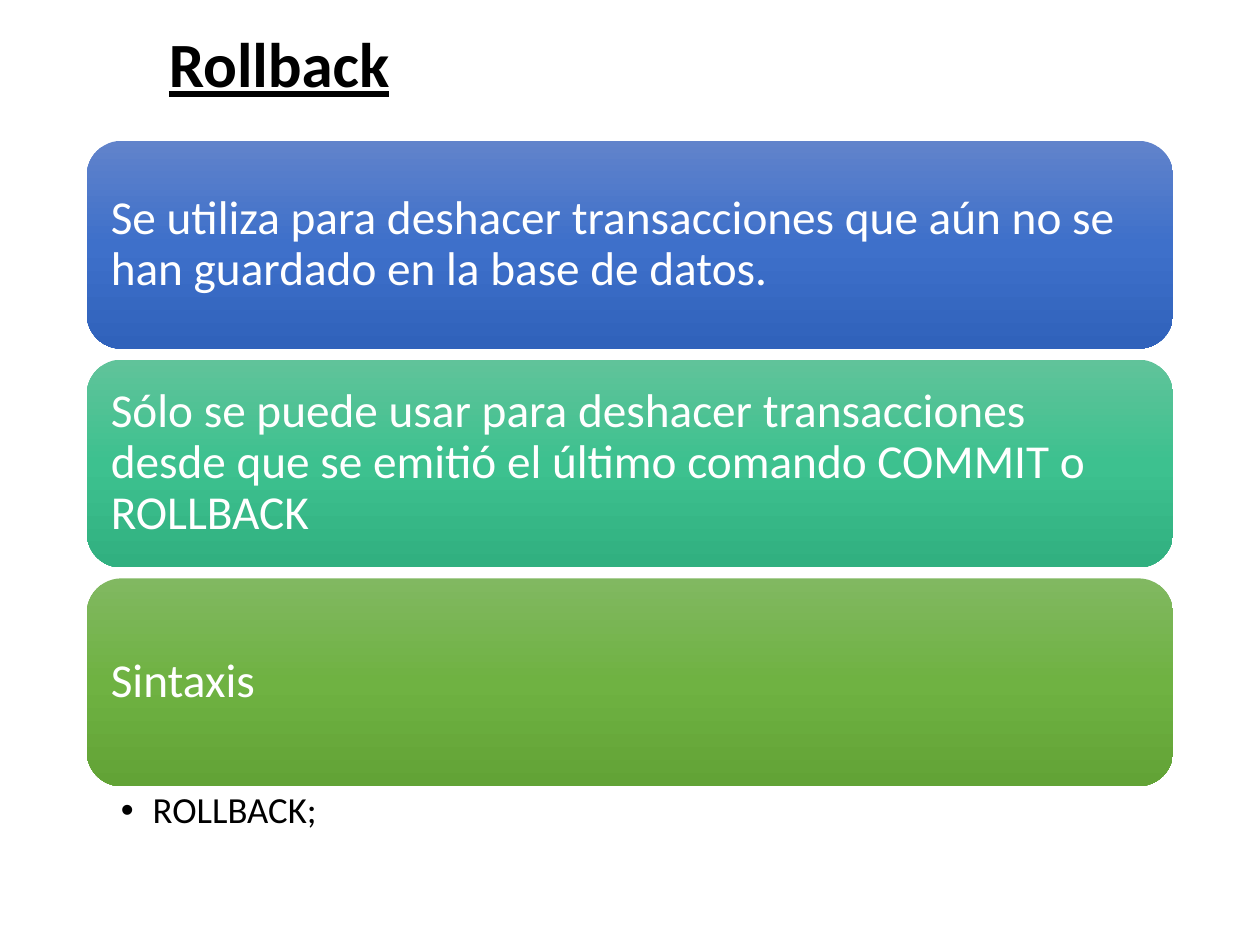
"""Build the Rollback slide with three gradient panels and a syntax bullet."""
from copy import deepcopy
from dataclasses import dataclass

from lxml import etree
from pptx import Presentation
from pptx.dml.color import RGBColor
from pptx.enum.shapes import MSO_SHAPE
from pptx.enum.text import MSO_ANCHOR, MSO_AUTO_SIZE, PP_ALIGN
from pptx.oxml.ns import qn
from pptx.util import Cm, Pt

ROUNDED = MSO_SHAPE.ROUNDED_RECTANGLE
MIDDLE = MSO_ANCHOR.MIDDLE
LEFT = PP_ALIGN.LEFT
NO_AUTOFIT = MSO_AUTO_SIZE.NONE

FONT = "Calibri"
BLACK = RGBColor(0x00, 0x00, 0x00)
WHITE = RGBColor(0xFF, 0xFF, 0xFF)
BLUES = (RGBColor(0x61, 0x83, 0xCB), RGBColor(0x3E, 0x70, 0xCA), RGBColor(0x30, 0x62, 0xBB))
TEALS = (RGBColor(0x60, 0xC3, 0x9A), RGBColor(0x3D, 0xC1, 0x8F), RGBColor(0x31, 0xB0, 0x80))
GREENS = (RGBColor(0x81, 0xB8, 0x61), RGBColor(0x6F, 0xB2, 0x42), RGBColor(0x62, 0xA3, 0x36))

PANEL_LEFT, PANEL_TOP = Cm(1.75), Cm(2.84)
PANEL_WIDTH, PANEL_HEIGHT = Cm(21.9), Cm(4.19)
PANEL_STEP = Cm(4.41)


@dataclass(frozen=True)
class Panel:
    text: str
    colors: tuple[RGBColor, RGBColor, RGBColor]


PANELS = (
    Panel("Se utiliza para deshacer transacciones que aún no se han guardado "
          "en la base de datos.", BLUES),
    Panel("Sólo se puede usar para deshacer transacciones desde que se emitió "
          "el último comando COMMIT o ROLLBACK", TEALS),
    Panel("Sintaxis", GREENS),
)


def write(tf, text: str, size: int, color: RGBColor):
    """Set one left-aligned paragraph and return it."""
    tf.word_wrap = True
    tf.text = text
    p = tf.paragraphs[0]
    p.alignment = LEFT
    p.line_spacing = 0.9
    font = p.runs[0].font
    font.name, font.size, font.color.rgb = FONT, Pt(size), color
    return p


def set_margins(tf, left: float, top: float, right: float, bottom: float) -> None:
    """Set the text insets in centimetres."""
    tf.margin_left, tf.margin_top = Cm(left), Cm(top)
    tf.margin_right, tf.margin_bottom = Cm(right), Cm(bottom)


def add_title(slide, text: str) -> None:
    """Place and format the title placeholder."""
    sp = slide.shapes.title
    sp.left, sp.top, sp.width, sp.height = Cm(3.15), Cm(0.58), Cm(19.81), Cm(1.55)
    tf = sp.text_frame
    tf.auto_size = NO_AUTOFIT
    tf.vertical_anchor = MIDDLE
    font = write(tf, text, 36, BLACK).runs[0].font
    font.bold = font.underline = True


def fill_gradient(sp, colors: tuple[RGBColor, ...]) -> None:
    """Fill a shape from top to bottom with evenly spaced colours."""
    sp.fill.gradient()
    sp.fill.gradient_angle = 270
    stops = sp.element.spPr.find(".//" + qn("a:gsLst"))
    while len(stops) < len(colors):
        stops.append(deepcopy(stops[0]))
    for i, (stop, color) in enumerate(zip(sp.fill.gradient_stops, colors)):
        stop.position = i / (len(colors) - 1)
        stop.color.rgb = color


def add_panel(slide, panel: Panel, row: int) -> None:
    """Draw one rounded panel in its row."""
    top = PANEL_TOP + row * PANEL_STEP
    sp = slide.shapes.add_shape(ROUNDED, PANEL_LEFT, top, PANEL_WIDTH, PANEL_HEIGHT)
    sp.shadow.inherit = False
    sp.line.fill.background()
    fill_gradient(sp, panel.colors)
    tf = sp.text_frame
    tf.vertical_anchor = MIDDLE
    set_margins(tf, 0.28, 0.28, 0.28, 0.28)
    write(tf, panel.text, 27, WHITE)


def add_bullet(slide, text: str) -> None:
    """Draw the bulleted line under the panels."""
    sp = slide.shapes.add_textbox(PANEL_LEFT, Cm(15.87), PANEL_WIDTH, Cm(1.24))
    tf = sp.text_frame
    set_margins(tf, 0.69, 0.1, 0.53, 0.1)
    p = write(tf, text, 21, BLACK)
    p.level = 1
    pPr = p._p.get_or_add_pPr()
    pPr.set("marL", str(Cm(0.64)))
    pPr.set("indent", str(-Cm(0.64)))
    etree.SubElement(pPr, qn("a:buFont")).set("typeface", "Arial")
    etree.SubElement(pPr, qn("a:buChar")).set("char", "•")


def main() -> None:
    """Build and save the slide."""
    prs = Presentation()
    prs.slide_width, prs.slide_height = Cm(25.4), Cm(19.05)
    slide = prs.slides.add_slide(prs.slide_layouts[5])
    add_title(slide, "Rollback")
    for row, panel in enumerate(PANELS):
        add_panel(slide, panel, row)
    add_bullet(slide, "ROLLBACK;")
    prs.save("out.pptx")


if __name__ == "__main__":
    main()
